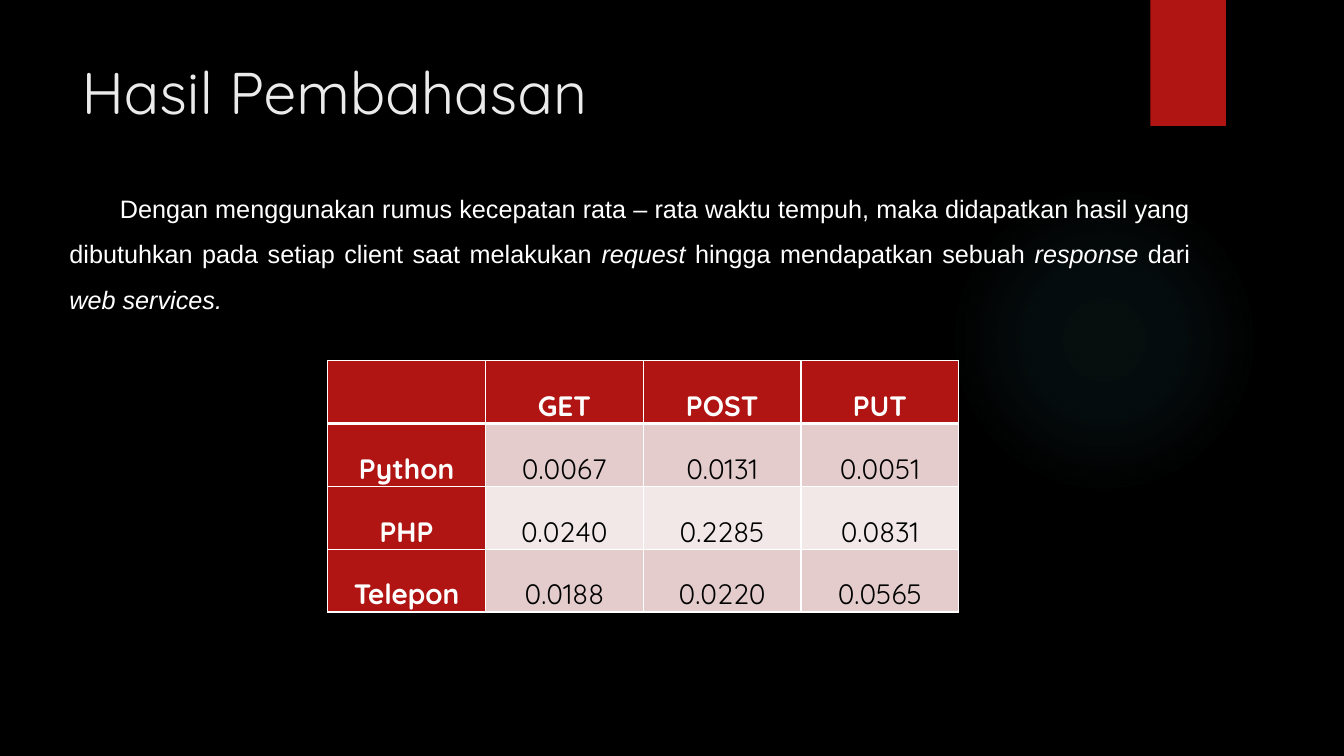
from dataclasses import dataclass

from lxml.etree import SubElement
from pptx import Presentation
from pptx.dml.color import RGBColor
from pptx.enum.shapes import MSO_SHAPE as Shape
from pptx.enum.text import MSO_ANCHOR as Anchor, MSO_AUTO_SIZE as AutoSize, PP_ALIGN as Align
from pptx.oxml.ns import qn
from pptx.util import Inches, Pt


@dataclass(frozen=True)
class Theme:
    background: str = "000000"
    accent: str = "B01513"
    glow: str = "50B9C1"
    title: str = "EBEBEB"
    light: str = "FFFFFF"
    dark: str = "000000"
    bands: tuple = ("E4CCCC", "F2E8E7")
    title_font: str = "Quicksand"
    body_font: str = "Arial"
    title_size: int = 42
    table_size: int = 20
    body_size: int = 18


THEME = Theme()
GLOW_STOPS = [(0, 7), (36, 6), (69, 0)]
EXPLANATION = [
    ("Dengan menggunakan rumus kecepatan rata – rata waktu tempuh, maka didapatkan hasil "
     "yang dibutuhkan pada setiap client saat melakukan ", False),
    ("request", True),
    (" hingga mendapatkan sebuah ", False),
    ("response ", True),
    ("dari ", False),
    ("web services.", True),
]
RESULTS = [
    ["", "GET", "POST", "PUT"],
    ["Python", "0.0067", "0.0131", "0.0051"],
    ["PHP", "0.0240", "0.2285", "0.0831"],
    ["Telepon", "0.0188", "0.0220", "0.0565"],
]


def set_fill(fill, color):
    fill.solid()
    fill.fore_color.rgb = RGBColor.from_string(color)


def set_font(font, name, size, color, bold=False):
    font.name = name
    font.size = Pt(size)
    font.color.rgb = RGBColor.from_string(color)
    font.bold = bold


def add_plain_shape(slide, kind, box):
    shape = slide.shapes.add_shape(kind, *map(Inches, box))
    shape.shadow.inherit = False
    shape.line.fill.background()
    return shape


def add_glow(slide, box):
    glow = add_plain_shape(slide, Shape.OVAL, box)
    glow.fill.gradient()
    gradient = glow._element.spPr.find(qn("a:gradFill"))
    for child in list(gradient):
        gradient.remove(child)
    stops = SubElement(gradient, qn("a:gsLst"))
    for position, opacity in GLOW_STOPS:
        stop = SubElement(stops, qn("a:gs"), pos=str(position * 1000))
        color = SubElement(stop, qn("a:srgbClr"), val=THEME.glow)
        SubElement(color, qn("a:alpha"), val=str(opacity * 1000))
    circle = SubElement(gradient, qn("a:path"), {"path": "circle"})
    SubElement(circle, qn("a:fillToRect"), {side: "50000" for side in "ltrb"})


def add_ribbon(slide, box):
    ribbon = add_plain_shape(slide, Shape.RECTANGLE, box)
    set_fill(ribbon.fill, THEME.accent)


def add_title(slide, box):
    title = slide.shapes.title
    title.left, title.top, title.width, title.height = map(Inches, box)
    frame = title.text_frame
    frame.text = "Hasil Pembahasan"
    frame.auto_size = AutoSize.NONE
    frame.vertical_anchor = Anchor.TOP
    paragraph = frame.paragraphs[0]
    paragraph.alignment = Align.LEFT
    set_font(paragraph.font, THEME.title_font, THEME.title_size, THEME.title)


def add_explanation(slide, box):
    frame = slide.shapes.add_textbox(*map(Inches, box)).text_frame
    frame.word_wrap = True
    frame.auto_size = AutoSize.SHAPE_TO_FIT_TEXT
    paragraph = frame.paragraphs[0]
    paragraph.alignment = Align.JUSTIFY
    paragraph.line_spacing = 1.5
    paragraph.space_after = Pt(8)
    paragraph._p.get_or_add_pPr().set("indent", str(Inches(0.5)))
    set_font(paragraph.font, THEME.body_font, THEME.body_size, THEME.light)
    for text, italic in EXPLANATION:
        run = paragraph.add_run()
        run.text = text
        run.font.italic = italic


def set_borders(cell, top, bottom):
    properties = cell._tc.get_or_add_tcPr()
    widths = {"a:lnL": 1, "a:lnR": 1, "a:lnT": top, "a:lnB": bottom}
    for tag, width in widths.items():
        line = SubElement(properties, qn(tag), w=str(Pt(width)))
        fill = SubElement(line, qn("a:solidFill"))
        SubElement(fill, qn("a:srgbClr"), val=THEME.light)


def format_cell(cell, text, row, column):
    heading = row == 0 or column == 0
    set_borders(cell, 3 if row == 1 else 1, 3 if row == 0 else 1)
    set_fill(cell.fill, THEME.accent if heading else THEME.bands[(row - 1) % 2])
    cell.margin_left = cell.margin_right = Inches(0.07)
    cell.margin_top, cell.margin_bottom = Inches(0.1), 0
    cell.vertical_anchor = Anchor.MIDDLE if heading else Anchor.TOP
    cell.text = text
    paragraph = cell.text_frame.paragraphs[0]
    paragraph.alignment = Align.CENTER
    paragraph.line_spacing = 1.5
    set_font(paragraph.font, THEME.title_font, THEME.table_size,
             THEME.light if heading else THEME.dark, heading)


def add_results(slide, box):
    table = slide.shapes.add_table(len(RESULTS), len(RESULTS[0]), *map(Inches, box)).table
    table.first_col = True
    for row, values in enumerate(RESULTS):
        for column, text in enumerate(values):
            format_cell(table.cell(row, column), text, row, column)


def build_results_slide(presentation):
    slide = presentation.slides.add_slide(presentation.slide_layouts[5])
    set_fill(slide.background.fill, THEME.background)
    add_glow(slide, (9.41, 1.83, 3.08, 3.08))
    add_ribbon(slide, (11.41, 0, 0.75, 1.25))
    add_title(slide, (0.71, 0.5, 10.29, 1.53))
    add_results(slide, (3.25, 3.58, 6.26, 2.48))
    add_explanation(slide, (0.59, 1.72, 11.31, 1.46))


def main():
    presentation = Presentation()
    presentation.slide_width = Inches(13.33)
    presentation.slide_height = Inches(7.5)
    build_results_slide(presentation)
    presentation.save("out.pptx")


if __name__ == "__main__":
    main()
